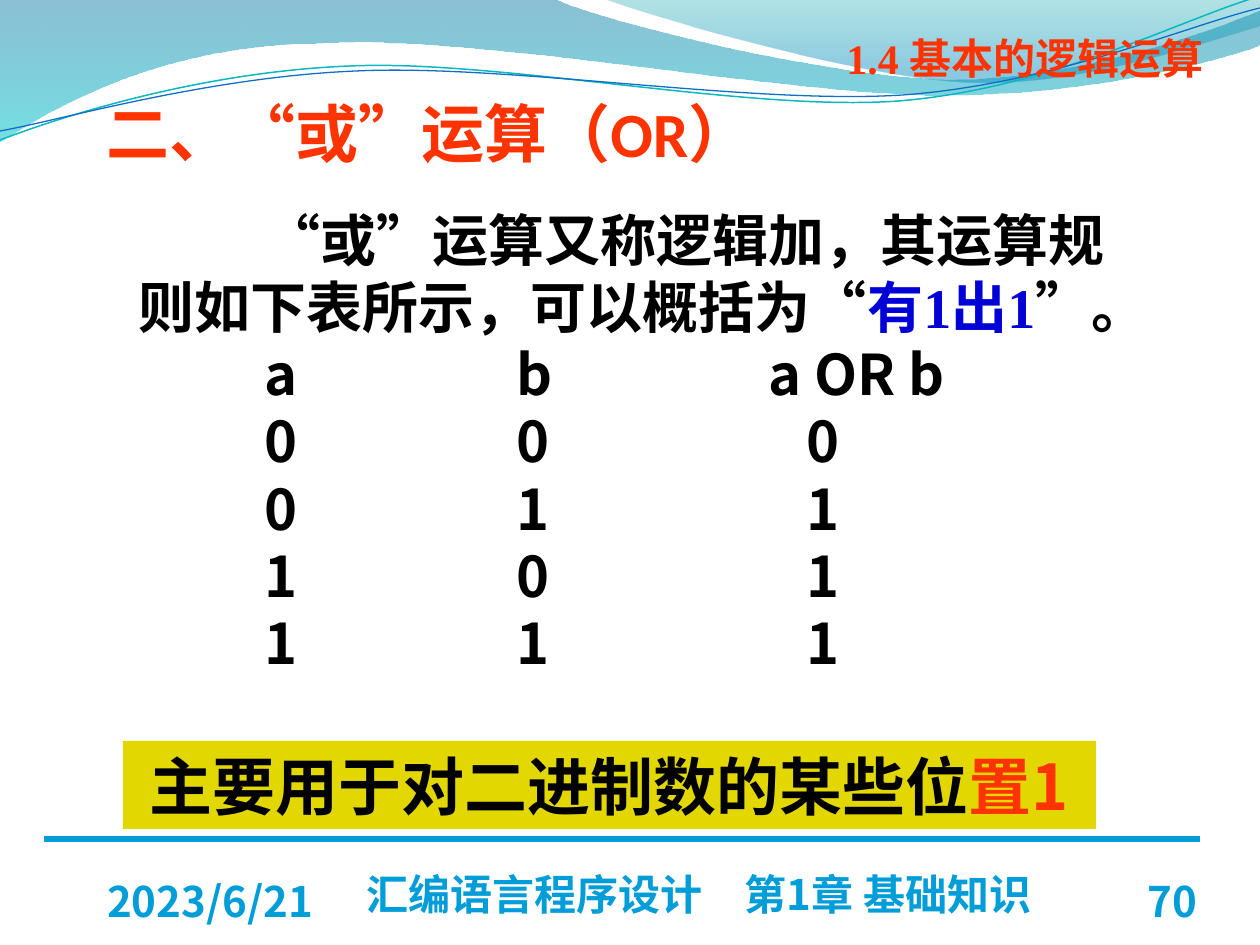
import pptx
import pptx.util
import pptx.dml.color
import pptx.enum.shapes
import pptx.enum.text
import pptx.oxml.ns
from dataclasses import dataclass
from lxml import etree

PX = 914400 / 126
ALIGN = pptx.enum.text.PP_ALIGN
ANCHOR = pptx.enum.text.MSO_ANCHOR
qn = pptx.oxml.ns.qn


@dataclass(frozen=True)
class Theme:
    accent: str = "009DD9"
    red: str = "FF3300"
    blue: str = "0000D6"
    ink: str = "000000"
    highlight: str = "E2D700"
    teal_line: str = "0AB8BF"
    blue_line: str = "0F6FC6"
    # gradient stops: position, colour, opacity in percent
    wave: tuple = ((0, "0074A1", 45), (1, "00C6CF", 55))
    crest: tuple = ((0, "00A1A9", 30), (0.8, "008BBF", 45))
    cjk: str = "Noto Sans CJK SC"
    footer_font: str = "Noto Sans CJK JP"
    serif: str = "Times New Roman"
    title_font: str = "Calibri"
    small: int = 24
    body: int = 32
    large: int = 36


def px(value):
    return pptx.util.Emu(round(value * PX))


def rgb(code):
    return pptx.dml.color.RGBColor.from_string(code)


def assign(target, values):
    for name, value in values.items():
        setattr(target, name, value)


class SlideBuilder:
    def __init__(self, page, theme):
        self.page = page
        self.theme = theme

    def curve(self, start, segments, stops=None, line=None, width=0):
        """Draw an outline whose segments hold one point (line) or three (Bézier)."""
        points = [point for segment in segments for point in segment]
        builder = self.page.shapes.build_freeform(*start, scale=PX)
        builder.add_line_segments(points, close=stops is not None)
        shape = builder.convert_to_shape()
        shape.shadow.inherit = False
        lines = iter(list(shape._element.iter(qn("a:lnTo"))))
        for segment in segments:
            parts = [next(lines) for _ in segment]
            if len(parts) == 3:
                bezier = etree.Element(qn("a:cubicBezTo"))
                parts[0].addprevious(bezier)
                for part in parts:
                    bezier.append(part[0])
                    part.getparent().remove(part)
        if stops:
            self.gradient(shape.fill, stops)
            shape.line.fill.background()
        else:
            shape.fill.background()
            shape.line.color.rgb = rgb(line)
            shape.line.width = pptx.util.Pt(width)

    def gradient(self, fill, stops):
        fill.gradient()
        fill.gradient_angle = 270
        for stop, (position, colour, opacity) in zip(fill.gradient_stops, stops):
            stop.position = position
            stop.color.rgb = rgb(colour)
            srgb = stop._gs.find(qn("a:srgbClr"))
            etree.SubElement(srgb, qn("a:alpha"), val=str(opacity * 1000))

    def rule(self, left, right, y, width):
        line = self.page.shapes.add_connector(
            pptx.enum.shapes.MSO_CONNECTOR.STRAIGHT, px(left), px(y), px(right), px(y))
        line.line.color.rgb = rgb(self.theme.accent)
        line.line.width = pptx.util.Pt(width)
        etree.SubElement(line._element.spPr, qn("a:effectLst"))

    def text(self, area, paragraphs, size, font, align=ALIGN.LEFT,
             anchor=ANCHOR.TOP, inset=None, fill=None):
        """Each paragraph is a list of (text, colour) spans."""
        place = [px(value) for value in area]
        if fill:
            box = self.page.shapes.add_shape(
                pptx.enum.shapes.MSO_SHAPE.RECTANGLE, *place)
            box.shadow.inherit = False
            box.fill.solid()
            box.fill.fore_color.rgb = rgb(fill)
            box.line.fill.background()
        else:
            box = self.page.shapes.add_textbox(*place)
        frame = box.text_frame
        assign(frame, {"word_wrap": True, "vertical_anchor": anchor})
        if inset is not None:
            sides = ("left", "top", "right", "bottom")
            assign(frame, {f"margin_{side}": px(inset) for side in sides})
        for index, spans in enumerate(paragraphs):
            para = frame.add_paragraph() if index else frame.paragraphs[0]
            para.alignment = align
            for content, colour in spans:
                self.span(para, content, size, font, colour)
        return frame

    def span(self, para, content, size, font, colour):
        span = para.add_run()
        span.text = content
        assign(span.font, {"size": pptx.util.Pt(size), "name": font, "bold": True})
        span.font.color.rgb = rgb(colour)
        etree.SubElement(span.font._element, qn("a:ea"), typeface=self.theme.cjk)

    def table_lines(self, frame, rows, size, font, colour):
        """Add rows of tabbed columns; the digits of the result sit under its heading."""
        for index, row in enumerate(rows):
            para = frame.add_paragraph()
            tabs = etree.SubElement(para._p.get_or_add_pPr(), qn("a:tabLst"))
            for stop in (126, 378, 668 if index else 630):
                etree.SubElement(tabs, qn("a:tab"), pos=str(px(stop)), algn="l")
            self.span(para, "".join(f"\t{cell}" for cell in row), size, font, colour)


def main():
    theme = Theme()
    deck = pptx.Presentation()
    assign(deck, {"slide_width": px(1260), "slide_height": px(945)})
    slide = SlideBuilder(deck.slides.add_slide(deck.slide_layouts[6]), theme)

    slide.curve((0, -1), [
        [(554, -1)],
        [(600, 21), (837, 79), (955, 79)], [(1075, 79), (1207, 33), (1260, 11)],
        [(1261, 45)],
        [(1239, 55), (1096, 96), (940, 95)], [(784, 95), (481, 35), (324, 43)],
        [(163, 44), (58, 105), (-1, 142)]], stops=theme.wave)
    slide.curve((604, -1), [
        [(641, 14), (859, 78), (969, 82)], [(1079, 87), (1211, 40), (1260, 26)],
        [(1260, 0)]], stops=theme.crest)
    slide.curve((0, 140), [
        [(60, 117), (199, 72), (349, 66)], [(498, 59), (747, 112), (898, 101)],
        [(1050, 89), (1182, 19), (1257, -3)]], line=theme.teal_line, width=0.85)
    slide.curve((0, 131), [
        [(58, 121), (207, 77), (357, 71)], [(508, 64), (752, 105), (903, 95)],
        [(1053, 84), (1186, 26), (1260, 8)]], line=theme.blue_line, width=0.75)

    slide.rule(44, 1200, 839, 3)
    for area, words, align in (
            ((63, 876, 294, 50), "2023/6/21", ALIGN.CENTER),
            ((1092, 876, 105, 50), "70", ALIGN.RIGHT),
            ((312, 869, 774, 50), "汇编语言程序设计　第1章 基础知识", ALIGN.CENTER)):
        slide.text(area, [[(words, theme.accent)]], theme.small, theme.footer_font,
                   align, ANCHOR.BOTTOM, inset=0)

    slide.text((94, 53, 1071, 158), [[("二、“或”运算（OR）", theme.red)]],
               theme.large, theme.title_font, anchor=ANCHOR.MIDDLE)
    slide.text((123, 741, 973, 88),
               [[("主要用于对二进制数的某些位", theme.ink), ("置1", theme.red)]],
               theme.large, theme.cjk, ALIGN.CENTER, ANCHOR.MIDDLE, fill=theme.highlight)

    body = slide.text((126, 199, 1029, 488), [[
        ("“或”运算又称逻辑加，其运算规则如下表所示，可以概括为“", theme.ink),
        ("有1出1", theme.blue), ("”。", theme.ink)]], theme.body, theme.serif)
    body.paragraphs[0]._p.get_or_add_pPr().set("indent", str(px(126)))
    truth_table = [("a", "b", "a OR b")] + [
        (a, b, a | b) for a in (0, 1) for b in (0, 1)]
    slide.table_lines(body, truth_table, theme.body, theme.cjk, theme.ink)

    slide.text((819, 26, 412, 63), [[("1.4 基本的逻辑运算", theme.red)]],
               theme.small, theme.serif, ALIGN.CENTER)

    deck.save("out.pptx")


if __name__ == "__main__":
    main()
